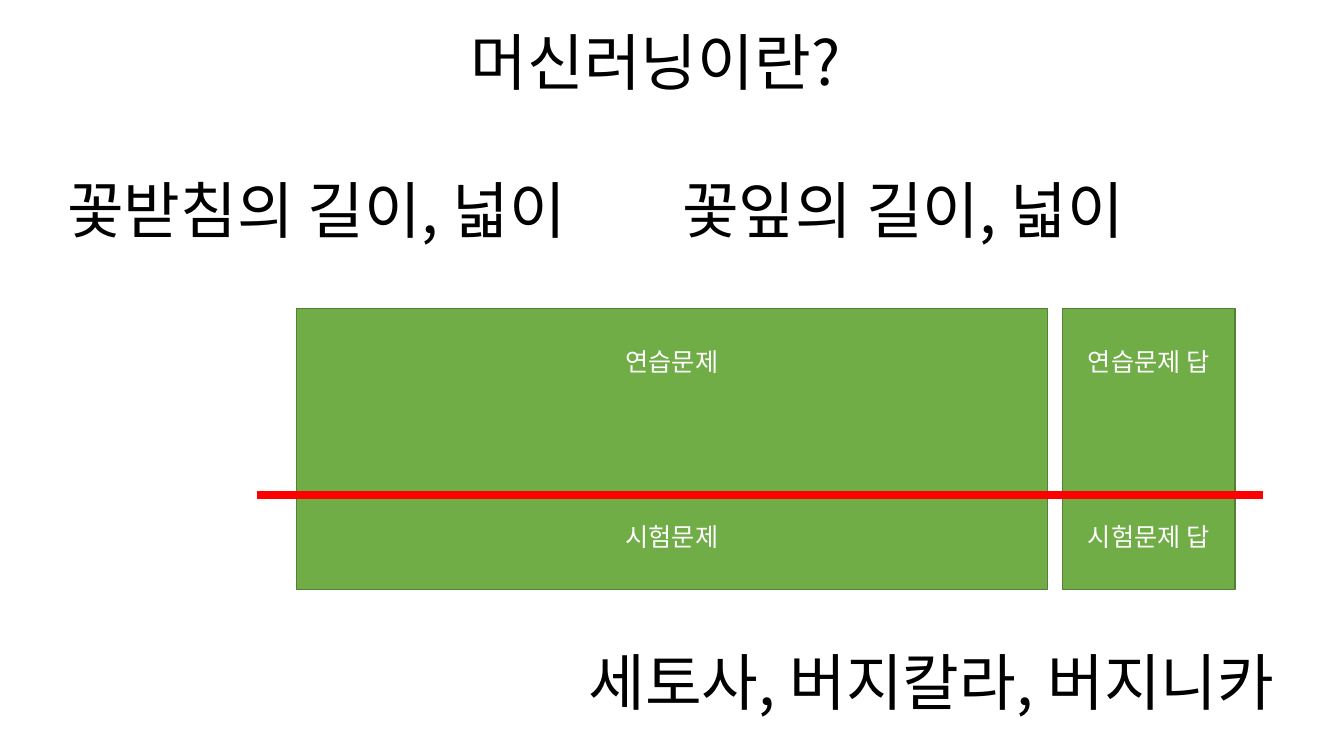
from pptx import Presentation
from pptx.dml.color import RGBColor
from pptx.enum.shapes import MSO_CONNECTOR as Line, MSO_SHAPE as Shape
from pptx.enum.text import MSO_ANCHOR as Anchor, PP_ALIGN as Align
from pptx.oxml import parse_xml
from pptx.oxml.ns import nsdecls
from pptx.util import Inches, Pt

GREEN = RGBColor(0x70, 0xAD, 0x47)
DARK_GREEN = RGBColor(0x53, 0x80, 0x35)
RED = RGBColor(0xFF, 0x00, 0x00)
BLACK = RGBColor(0x00, 0x00, 0x00)
WHITE = RGBColor(0xFF, 0xFF, 0xFF)


class SlideBuilder:
    """Draws styled elements placed in percent of the slide's size."""

    def __init__(self, prs, font):
        self.prs, self.font = prs, font
        self.s = prs.slides.add_slide(prs.slide_layouts[5])

    def x(self, share):
        return round(self.prs.slide_width * share / 100)

    def y(self, share):
        return round(self.prs.slide_height * share / 100)

    def box(self, left, top, width, height):
        return self.x(left), self.y(top), self.x(width), self.y(height)

    def set_text(self, sp, text, size, color, gap=0):
        tf = sp.text_frame
        tf.word_wrap = True
        tf.vertical_anchor = Anchor.MIDDLE
        tf.text = text
        for i, p in enumerate(tf.paragraphs):
            p.alignment = Align.CENTER
            p.line_spacing = 1.0
            p.space_before = Pt(gap if i else 0)
            for r in p.runs:
                r.font.name, r.font.size = self.font, Pt(size)
                r.font.color.rgb = color
                r.font._element.append(parse_xml(
                    f'<a:ea {nsdecls("a")} typeface="{self.font}"/>'))

    def title(self, text, *place):
        sp = self.s.shapes.title
        sp.left, sp.top, sp.width, sp.height = self.box(*place)
        self.set_text(sp, text, 44, BLACK)

    def label(self, text, *place):
        sp = self.s.shapes.add_textbox(*self.box(*place))
        self.set_text(sp, text, 44, BLACK)

    def block(self, text, *place):
        sp = self.s.shapes.add_shape(Shape.RECTANGLE, *self.box(*place))
        sp.shadow.inherit = False
        sp.fill.solid()
        sp.fill.fore_color.rgb = GREEN
        sp.line.color.rgb, sp.line.width = DARK_GREEN, Pt(1)
        self.set_text(sp, text, 18, WHITE, gap=103)

    def divider(self, left, right, level):
        y = self.y(level)
        line = self.s.shapes.add_connector(
            Line.STRAIGHT, self.x(left), y, self.x(right), y)
        line.line.color.rgb, line.line.width = RED, Pt(6)
        line._element.spPr.append(parse_xml(f'<a:effectLst {nsdecls("a")}/>'))


def main():
    prs = Presentation()
    prs.slide_width, prs.slide_height = Inches(13.33), Inches(7.5)
    b = SlideBuilder(prs, "Noto Sans CJK KR")
    b.block("연습문제 답\n시험문제 답", 79.06, 40.8, 12.83, 37.2)
    b.title("머신러닝이란?", 9.67, 2.4, 78.24, 11.2)
    b.label("세토사, 버지칼라, 버지니카", 39.3, 84.4, 60, 11.2)
    for left, text in ((0, "꽃받침의 길이, 넓이"), (43.65, "꽃잎의 길이, 넓이")):
        b.label(text, left, 22, 47.1, 11.2)
    b.block("연습문제\n시험문제", 22.05, 40.8, 55.88, 37.2)
    b.divider(19.12, 94, 65.47)
    prs.save("out.pptx")


if __name__ == "__main__":
    main()
